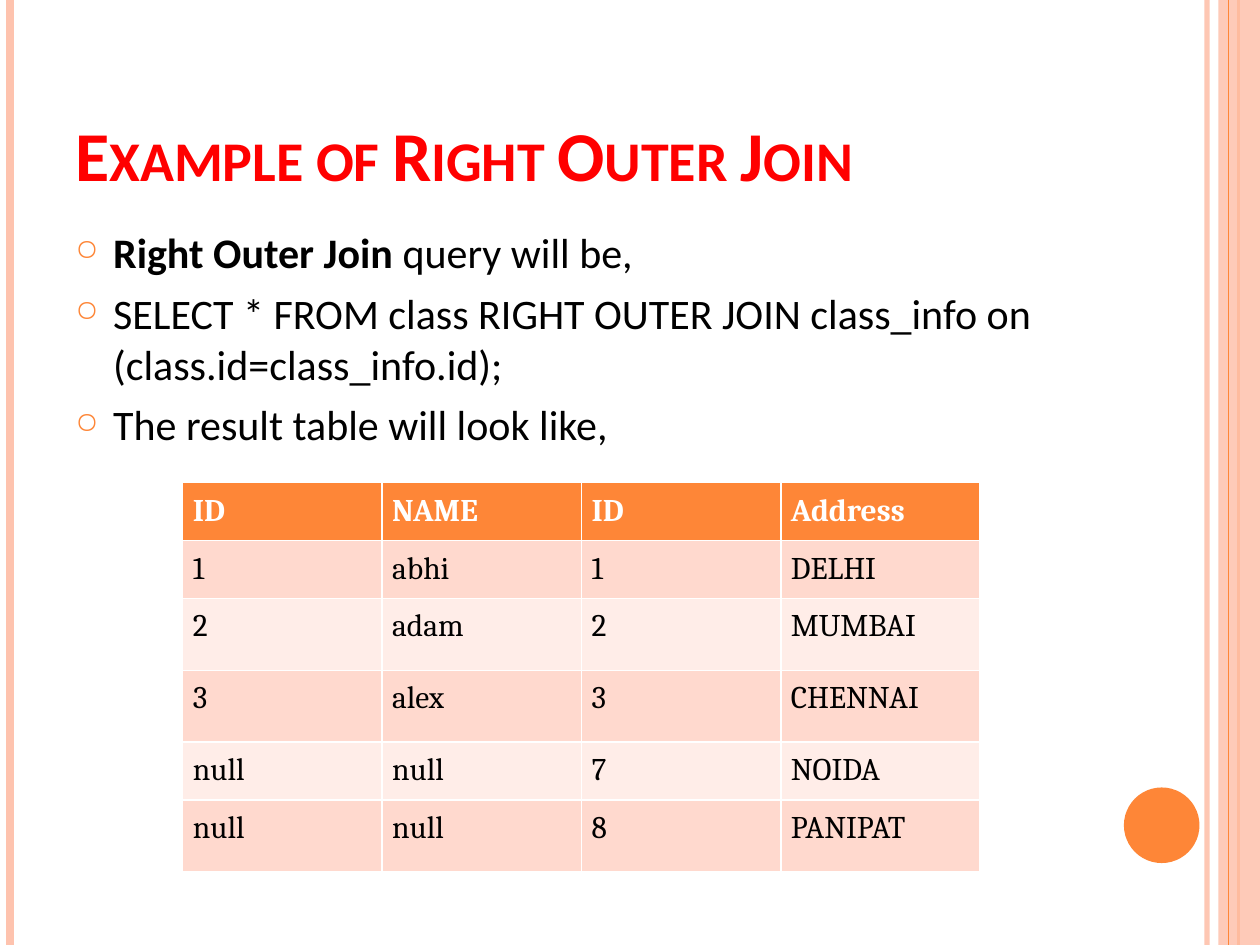
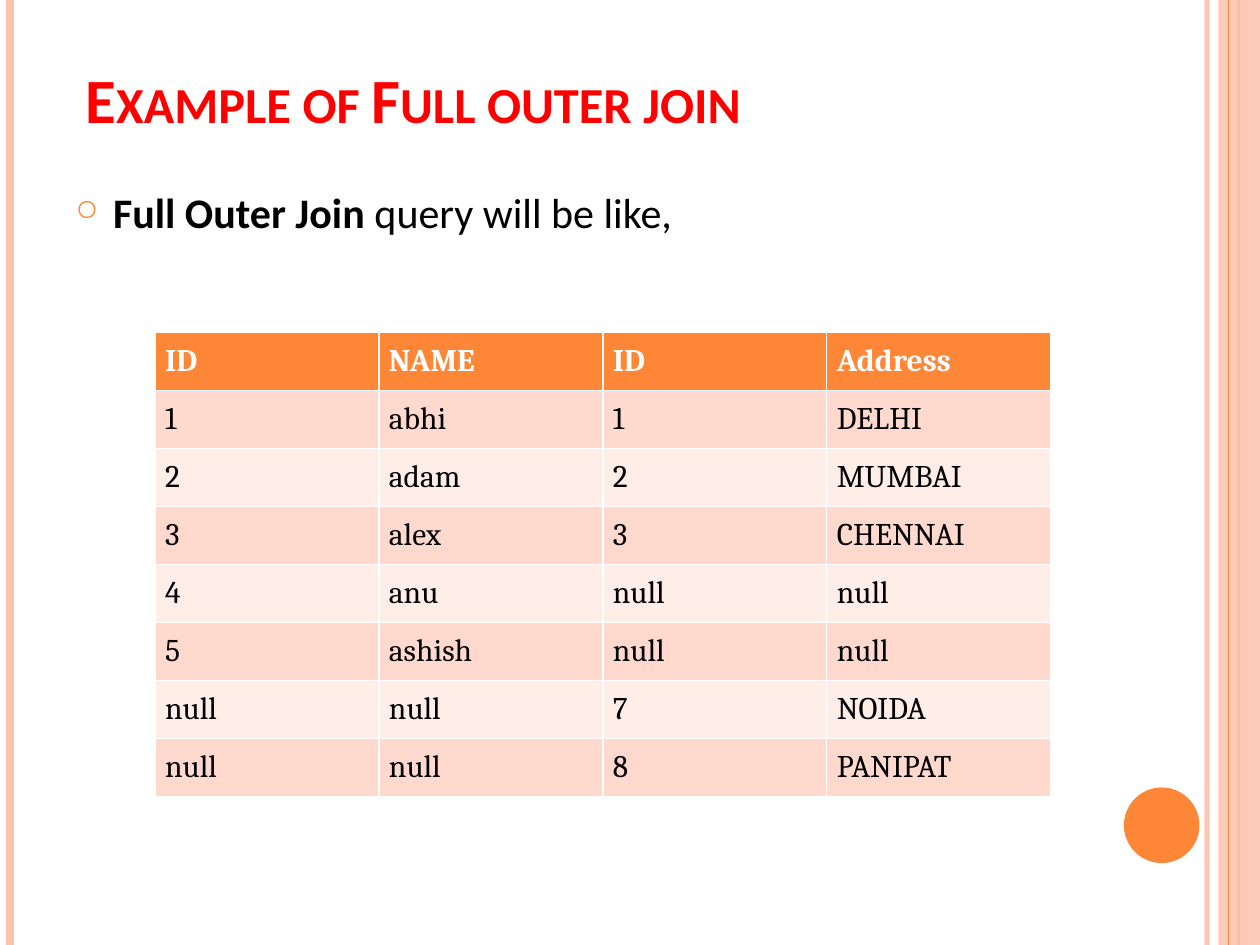
from lxml.etree import SubElement
from pptx import Presentation
from pptx.dml.color import RGBColor
from pptx.enum.shapes import MSO_CONNECTOR, MSO_SHAPE
from pptx.enum.text import MSO_ANCHOR
from pptx.oxml.ns import qn
from pptx.util import Inches, Pt

# Content: bullets are lists of (text, bold) runs
HEADER = ("ID", "NAME", "ID", "Address")
MATCHED = [("1", "abhi", "1", "DELHI"), ("2", "adam", "2", "MUMBAI"), ("3", "alex", "3", "CHENNAI")]
RIGHT_ONLY = [("null", "null", "7", "NOIDA"), ("null", "null", "8", "PANIPAT")]
LEFT_ONLY = [("4", "anu", "null", "null"), ("5", "ashish", "null", "null")]

SLIDES = [
    {
        "title": "Example of Right Outer Join",
        "title_size": 40,
        "title_left": 0.5,
        "title_bottom_inset": 0,
        "bullets": [
            [("Right Outer Join", True), (" query will be,", False)],
            [("SELECT * FROM class RIGHT OUTER JOIN class_info on (class.id=class_info.id);", False)],
            [("The result table will look like,", False)],
        ],
        "body_box": (0.5, 1.75, 8.17, 5.75),
        "rows": [HEADER, *MATCHED, *RIGHT_ONLY],
        "table_box": (1.45, 3.83, 6.33),
        "row_heights": [0.46, 0.46, 0.57, 0.57, 0.46, 0.57],
    },
    {
        "title": "Example of Full outer join",
        "title_size": 36,
        "title_left": 0.58,
        "title_bottom_inset": 0.47,
        "bullets": [[("Full Outer Join", True), (" query will be like,", False)]],
        "body_box": (0.5, 1.43, 8.44, 5.83),
        "rows": [HEADER, *MATCHED, *LEFT_ONLY, *RIGHT_ONLY],
        "table_box": (1.23, 2.64, 7.11),
        "row_heights": [0.45] * 8,
    },
]

# Shared look
WIDTH, HEIGHT = 10, 7.5
ORANGE, PEACH, RED, WHITE, BLACK = "FE8637", "FEC3AE", "FF0000", "FFFFFF", "000000"
ROW_FILLS = ("FFEDE8", "FFD9CE")
BODY_FONT, TABLE_FONT = "Calibri", "Cambria"


def paint(fill, color, opacity=100):
    fill.solid()
    fill.fore_color.rgb = RGBColor.from_string(color)
    if opacity < 100:
        color_element = fill._xPr.find(qn("a:solidFill"))[0]
        SubElement(color_element, qn("a:alpha"), val=str(opacity * 1000))


def add_run(paragraph, text, font=BODY_FONT, size=24, color=BLACK, bold=False, small_caps=False):
    run = paragraph.add_run()
    run.text = text
    run.font.name, run.font.size, run.font.bold = font, Pt(size), bold
    run.font.color.rgb = RGBColor.from_string(color)
    if small_caps:
        run.font._element.set("cap", "small")


def add_text_frame(slide, box):
    frame = slide.shapes.add_textbox(*map(Inches, box)).text_frame
    frame.word_wrap = True
    return frame


def add_vertical_line(slide, x, color, width, opacity=100):
    line = slide.shapes.add_connector(
        MSO_CONNECTOR.STRAIGHT, Inches(x), 0, Inches(x), Inches(HEIGHT))
    line.line.width = Pt(width)
    paint(line.line.fill, color, opacity)
    SubElement(line._element.spPr, qn("a:effectLst"))


def add_plain_shape(slide, kind, box, color, opacity=100):
    shape = slide.shapes.add_shape(kind, *map(Inches, box))
    shape.shadow.inherit = False
    shape.line.fill.background()
    paint(shape.fill, color, opacity)


def add_frame_decoration(slide):
    add_vertical_line(slide, 9.58, PEACH, 3, 93)
    add_vertical_line(slide, 0.08, PEACH, 4.5)
    add_vertical_line(slide, 9.83, ORANGE, 1.5)
    add_plain_shape(slide, MSO_SHAPE.RECTANGLE, (9.67, 0, 0.33, HEIGHT), PEACH, 87)
    add_vertical_line(slide, 9.75, ORANGE, 0.75)
    add_plain_shape(slide, MSO_SHAPE.OVAL, (8.92, 6.25, 0.6, 0.6), ORANGE)


def add_title(slide, text, size, left, bottom_inset):
    frame = add_text_frame(slide, (left, 0.3, 8.17, 1.25))
    frame.vertical_anchor = MSO_ANCHOR.BOTTOM
    frame.margin_bottom = Inches(bottom_inset)
    add_run(frame.paragraphs[0], text, size=size, color=RED, bold=True, small_caps=True)


def add_bullets(slide, bullets, box):
    frame = add_text_frame(slide, box)
    for index, runs in enumerate(bullets):
        paragraph = frame.add_paragraph() if index else frame.paragraphs[0]
        paragraph.space_before = Pt(6)
        properties = paragraph._p.get_or_add_pPr()
        properties.set("marL", str(Inches(0.3)))
        properties.set("indent", str(Inches(-0.3)))
        bullet_color = SubElement(properties, qn("a:buClr"))
        SubElement(bullet_color, qn("a:srgbClr"), val=ORANGE)
        SubElement(properties, qn("a:buSzPct"), val="70000")
        SubElement(properties, qn("a:buChar"), char="○")
        for text, bold in runs:
            add_run(paragraph, text, bold=bold)


def add_cell_borders(cell):
    properties = cell._tc.get_or_add_tcPr()
    for index, side in enumerate(("lnL", "lnR", "lnT", "lnB")):
        border = properties.makeelement(qn(f"a:{side}"), {"w": str(Pt(1))})
        fill = SubElement(border, qn("a:solidFill"))
        SubElement(fill, qn("a:srgbClr"), val=WHITE)
        properties.insert(index, border)


def add_result_table(slide, rows, box, row_heights):
    left, top, width = box
    columns = len(rows[0])
    table = slide.shapes.add_table(
        len(rows), columns, *map(Inches, (left, top, width, sum(row_heights)))).table
    for column in table.columns:
        column.width = Inches(width / columns)
    for row_index, (values, height) in enumerate(zip(rows, row_heights)):
        is_header = row_index == 0
        table.rows[row_index].height = Inches(height)
        for column_index, value in enumerate(values):
            cell = table.cell(row_index, column_index)
            cell.margin_left = cell.margin_right = Inches(0.08)
            cell.margin_top = cell.margin_bottom = Inches(0.08)
            paint(cell.fill, ORANGE if is_header else ROW_FILLS[row_index % 2])
            add_cell_borders(cell)
            add_run(cell.text_frame.paragraphs[0], value, font=TABLE_FONT, size=18,
                    color=WHITE if is_header else BLACK, bold=is_header)


def main():
    presentation = Presentation()
    presentation.slide_width, presentation.slide_height = Inches(WIDTH), Inches(HEIGHT)
    for content in SLIDES:
        slide = presentation.slides.add_slide(presentation.slide_layouts[6])
        paint(slide.background.fill, WHITE)
        add_frame_decoration(slide)
        add_title(slide, content["title"], content["title_size"],
                  content["title_left"], content["title_bottom_inset"])
        add_bullets(slide, content["bullets"], content["body_box"])
        add_result_table(slide, content["rows"], content["table_box"], content["row_heights"])
    presentation.save("out.pptx")


if __name__ == "__main__":
    main()
